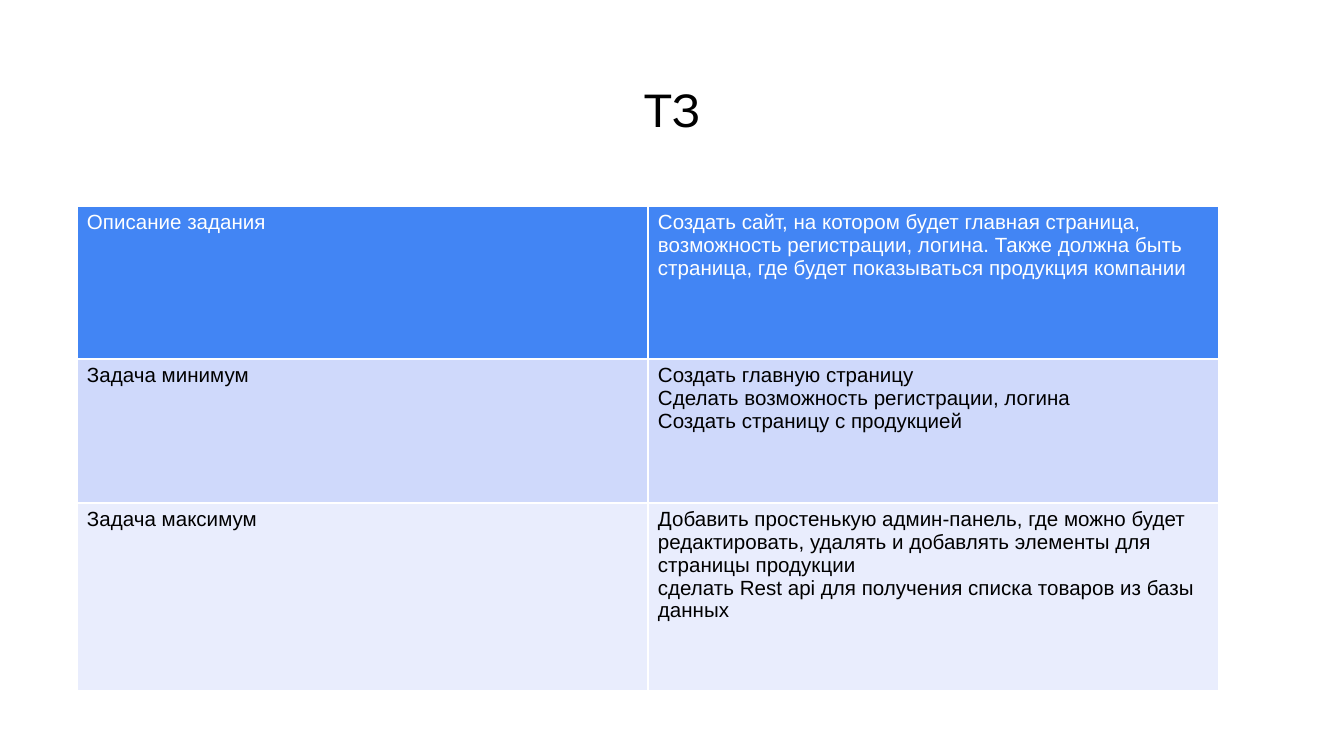
from lxml.etree import SubElement
from pptx import Presentation
from pptx.dml.color import RGBColor
from pptx.enum.text import MSO_ANCHOR, PP_ALIGN
from pptx.oxml.ns import qn
from pptx.util import Emu, Pt


def px(n):
    return Emu(round(n * 914400 / 134.4))


def format_text(tf, size, color):
    for p in tf.paragraphs:
        for r in p.runs:
            r.font.name = "Arial"
            r.font.size = Pt(size)
            r.font.color.rgb = RGBColor.from_string(color)


prs = Presentation()
prs.slide_width, prs.slide_height = px(1344), px(756)
s = prs.slides.add_slide(prs.slide_layouts[6])

# Title
title = s.shapes.add_textbox(px(46), px(66), px(1252), px(85))
tf = title.text_frame
tf.word_wrap = True
tf.vertical_anchor = MSO_ANCHOR.MIDDLE
tf.margin_left = tf.margin_right = tf.margin_top = tf.margin_bottom = px(13)
tf.text = "ТЗ"
tf.paragraphs[0].alignment = PP_ALIGN.CENTER
format_text(tf, 25.2, "000000")

# Task table: height, fill, text colour, cells (\v breaks a line)
rows = [
    (153, "4285F4", "FFFFFF", [
        "Описание задания",
        "Создать сайт, на котором будет главная страница, возможность "
        "регистрации, логина. Также должна быть страница, где будет "
        "показываться продукция компании"]),
    (144, "CFD9FB", "000000", [
        "Задача минимум",
        "Создать главную страницу\vСделать возможность регистрации, логина\n"
        "Создать страницу с продукцией"]),
    (188, "E9EDFD", "000000", [
        "Задача максимум",
        "Добавить простенькую админ-панель, где можно будет редактировать, "
        "удалять и добавлять элементы для страницы продукции\v"
        "сделать Rest api для получения списка товаров из базы данных"]),
]
height = sum(row[0] for row in rows)
table = s.shapes.add_table(len(rows), 2, px(77), px(206), px(1142), px(height)).table
for column in table.columns:
    column.width = px(571)

for i, (row_height, fill, color, texts) in enumerate(rows):
    table.rows[i].height = px(row_height)
    for j, text in enumerate(texts):
        cell = table.cell(i, j)
        cell.margin_left = cell.margin_right = px(10)
        cell.margin_top = cell.margin_bottom = px(5)
        cell.text_frame.text = text
        format_text(cell.text_frame, 11, color)
        for p in cell.text_frame.paragraphs:
            for r in p.runs:
                r.font.bold = False

        # Borders come before the fill in the cell properties
        tcPr = cell._tc.get_or_add_tcPr()
        for side in ("a:lnL", "a:lnR", "a:lnT", "a:lnB"):
            ln = SubElement(tcPr, qn(side), w=str(Pt(1)))
            line_fill = SubElement(ln, qn("a:solidFill"))
            SubElement(line_fill, qn("a:srgbClr"), val="FFFFFF")
        cell.fill.solid()
        cell.fill.fore_color.rgb = RGBColor.from_string(fill)

prs.save("out.pptx")
